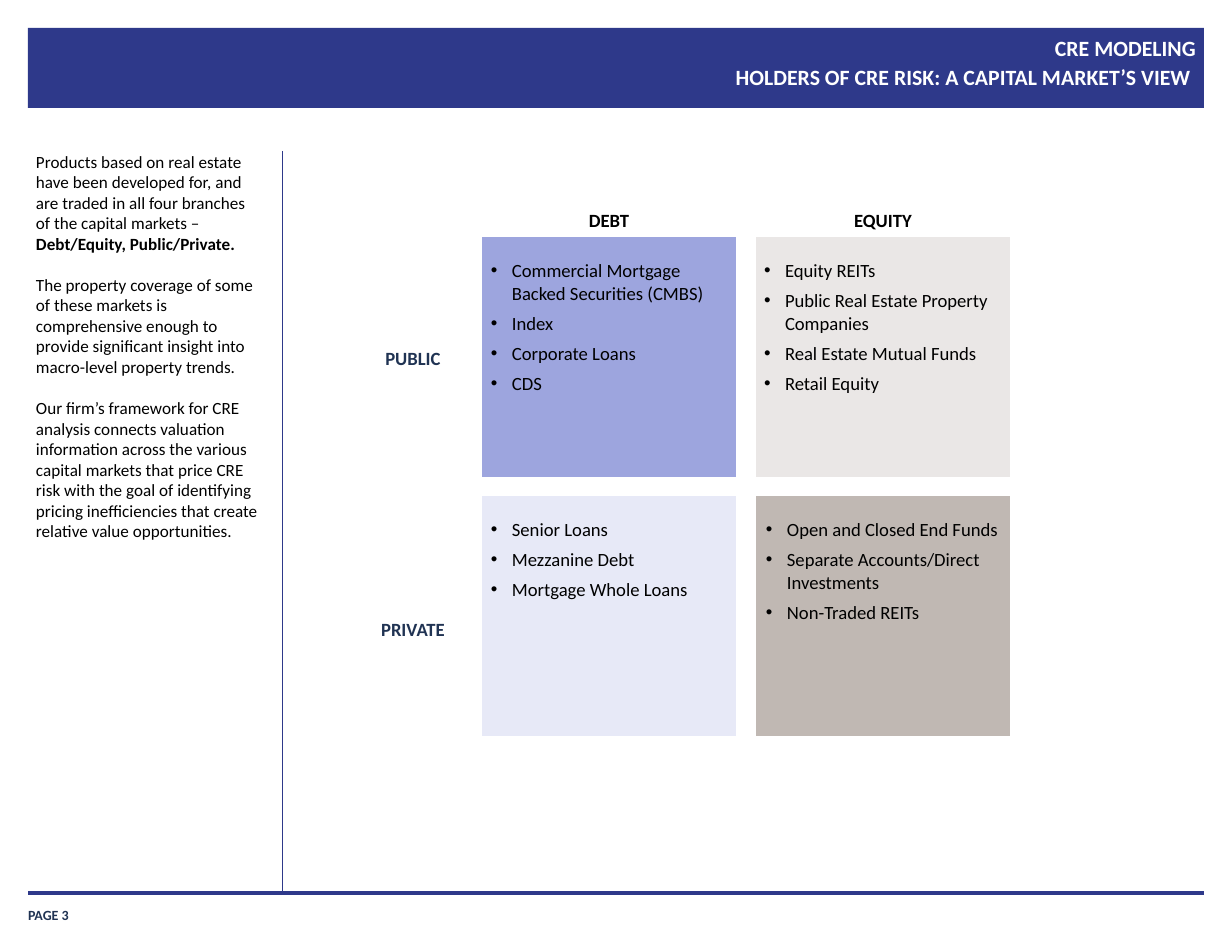
from dataclasses import dataclass

from lxml.etree import SubElement
from pptx import Presentation
from pptx.dml.color import RGBColor
from pptx.enum.shapes import MSO_CONNECTOR as Connector, MSO_SHAPE as Shape
from pptx.enum.text import MSO_ANCHOR as Anchor, MSO_AUTO_SIZE as AutoSize, PP_ALIGN as Align
from pptx.oxml.ns import qn
from pptx.util import Emu, Pt

PX = 914400 / 112
FONT = "Calibri"

NAVY = RGBColor(0x2E, 0x39, 0x8A)
SLATE = RGBColor(0x20, 0x33, 0x53)
BLACK = RGBColor(0, 0, 0)
WHITE = RGBColor(0xFF, 0xFF, 0xFF)
PERIWINKLE = RGBColor(0x9D, 0xA5, 0xDE)
LAVENDER = RGBColor(0xE7, 0xE9, 0xF7)
PALE_STONE = RGBColor(0xEA, 0xE7, 0xE6)
STONE = RGBColor(0xC0, 0xB8, 0xB3)

# Matrix geometry
COLUMN_X, ROW_Y = (481, 755), (236, 495)
CELL_W, CELL_H = 256, 242
HEADING_Y, HEADING_H = 204, 34
ROW_LABEL_X, ROW_LABEL_W, ROW_LABEL_H = 369, 88, 31
BULLET_INDENT = 21


@dataclass(frozen=True)
class Style:
    size: float
    color: RGBColor = BLACK
    bold: bool = False


@dataclass(frozen=True)
class Quadrant:
    column: int
    row: int
    fill: RGBColor
    holdings: tuple[str, ...]
    nudge: int = 0


@dataclass(frozen=True)
class RowLabel:
    text: str
    top: int


HEADING = Style(12, bold=True)
ROW_HEADING = Style(12, SLATE, True)
HOLDING = Style(12)
COMMENT = Style(11)
COMMENT_BOLD = Style(11, bold=True)
PAGE = Style(9, SLATE, True)
TITLE = Style(14, WHITE, True)

TITLE_TEXT = "CRE MODELING\vHOLDERS OF CRE RISK: A CAPITAL MARKET’S VIEW "

COMMENTARY = (
    (("Products based on real estate have been developed for, and are traded in "
      "all four branches of the capital markets – ", COMMENT),
     ("Debt/Equity, Public/Private.", COMMENT_BOLD)),
    (("The property coverage of some of these markets is comprehensive enough to "
      "provide significant insight into macro-level property trends.", COMMENT),),
    (("Our firm’s framework for CRE analysis connects valuation information across the "
      "various capital markets that price CRE risk with the goal of identifying "
      "pricing inefficiencies that create relative value opportunities.", COMMENT),),
)

COLUMN_HEADINGS = ("DEBT", "EQUITY")
ROW_LABELS = (RowLabel("PUBLIC", 343), RowLabel("PRIVATE", 614))
QUADRANTS = (
    Quadrant(0, 0, PERIWINKLE, ("Commercial Mortgage Backed Securities (CMBS)", "Index",
                                "Corporate Loans", "CDS")),
    Quadrant(1, 0, PALE_STONE, ("Equity REITs", "Public Real Estate Property Companies",
                                "Real Estate Mutual Funds", "Retail Equity"), -1),
    Quadrant(0, 1, LAVENDER, ("Senior Loans", "Mezzanine Debt", "Mortgage Whole Loans")),
    Quadrant(1, 1, STONE, ("Open and Closed End Funds",
                           "Separate Accounts/Direct Investments", "Non-Traded REITs"), 1),
)


def px(length: int) -> Emu:
    return Emu(round(length * PX))


def set_all(target, values: dict) -> None:
    for name, value in values.items():
        setattr(target, name, value)


def apply_style(font, style: Style) -> None:
    set_all(font, {"name": FONT, "size": Pt(style.size), "bold": style.bold})
    font.color.rgb = style.color


def set_frame(frame, inset: int, anchor=Anchor.TOP) -> None:
    set_all(frame, {
        "word_wrap": True, "auto_size": AutoSize.NONE, "vertical_anchor": anchor,
        "margin_left": px(inset), "margin_right": px(inset),
        "margin_top": px(inset // 2), "margin_bottom": px(inset // 2),
    })


def add_text(slide, left: int, top: int, width: int, height: int,
             paragraphs, inset: int = 0, space_after: float = 0,
             align=Align.LEFT, anchor=Anchor.TOP):
    """Add a text box; each paragraph is a sequence of (text, style) runs."""
    frame = slide.shapes.add_textbox(px(left), px(top), px(width), px(height)).text_frame
    set_frame(frame, inset, anchor)
    for index, runs in enumerate(paragraphs):
        paragraph = frame.add_paragraph() if index else frame.paragraphs[0]
        set_all(paragraph, {"alignment": align, "space_after": Pt(space_after)})
        for text, style in runs:
            run = paragraph.add_run()
            run.text = text
            apply_style(run.font, style)
    return frame


def add_rect(slide, left: int, top: int, width: int, height: int, fill: RGBColor):
    rect = slide.shapes.add_shape(Shape.RECTANGLE, px(left), px(top), px(width), px(height))
    rect.shadow.inherit = False
    rect.fill.solid()
    rect.fill.fore_color.rgb = fill
    return rect


def add_rule(slide, x1: int, y1: int, x2: int, y2: int, weight: float) -> None:
    rule = slide.shapes.add_connector(Connector.STRAIGHT, px(x1), px(y1), px(x2), px(y2))
    rule.line.color.rgb = NAVY
    rule.line.width = Pt(weight)
    SubElement(rule.element.spPr, qn("a:effectLst"))


def add_bullet(paragraph) -> None:
    properties = paragraph._p.get_or_add_pPr()
    properties.set("marL", str(px(BULLET_INDENT)))
    properties.set("indent", str(-px(BULLET_INDENT)))
    SubElement(properties, qn("a:buFont"), typeface="Arial")
    SubElement(properties, qn("a:buChar"), char="•")


def add_quadrant(slide, quadrant: Quadrant) -> None:
    left, top = COLUMN_X[quadrant.column], ROW_Y[quadrant.row]
    cell = add_rect(slide, left, top, CELL_W, CELL_H, quadrant.fill)
    cell.line.color.rgb = WHITE
    cell.line.width = Pt(1)
    frame = add_text(slide, left + quadrant.nudge, top + 18, CELL_W - 2 * quadrant.nudge, 178,
                     [[(holding, HOLDING)] for holding in quadrant.holdings],
                     inset=10, space_after=5)
    frame.margin_right = px(4)
    for paragraph in frame.paragraphs:
        add_bullet(paragraph)


def add_header(slide) -> None:
    banner = add_rect(slide, 28, 28, 1176, 80, NAVY)
    banner.line.fill.background()
    title = slide.shapes.title
    title.element.addprevious(banner.element)
    set_all(title, {"left": px(355), "top": px(32), "width": px(841), "height": px(75)})
    set_frame(title.text_frame, 0)
    title.text_frame.text = TITLE_TEXT
    paragraph = title.text_frame.paragraphs[0]
    set_all(paragraph, {"alignment": Align.RIGHT, "line_spacing": 1.1})
    for run in paragraph.runs:
        apply_style(run.font, TITLE)


def main() -> None:
    deck = Presentation()
    set_all(deck, {"slide_width": px(1232), "slide_height": px(952)})
    slide = deck.slides.add_slide(deck.slide_layouts[5])

    # Header, footer and rules
    add_header(slide)
    add_text(slide, 28, 897, 102, 26, [[("PAGE 3", PAGE)]], anchor=Anchor.BOTTOM)
    add_rule(slide, 28, 893, 1204, 893, 2.25)
    add_rule(slide, 282, 151, 282, 893, 0.5)

    # Commentary column
    add_text(slide, 36, 151, 225, 418, COMMENTARY, space_after=13.2)

    # Debt/equity by public/private matrix
    for left, heading in zip(COLUMN_X, COLUMN_HEADINGS):
        add_text(slide, left, HEADING_Y, CELL_W, HEADING_H, [[(heading, HEADING)]],
                 inset=10, align=Align.CENTER)
    for label in ROW_LABELS:
        add_text(slide, ROW_LABEL_X, label.top, ROW_LABEL_W, ROW_LABEL_H,
                 [[(label.text, ROW_HEADING)]], inset=8, align=Align.CENTER)
    for quadrant in QUADRANTS:
        add_quadrant(slide, quadrant)

    deck.save("out.pptx")


if __name__ == "__main__":
    main()
